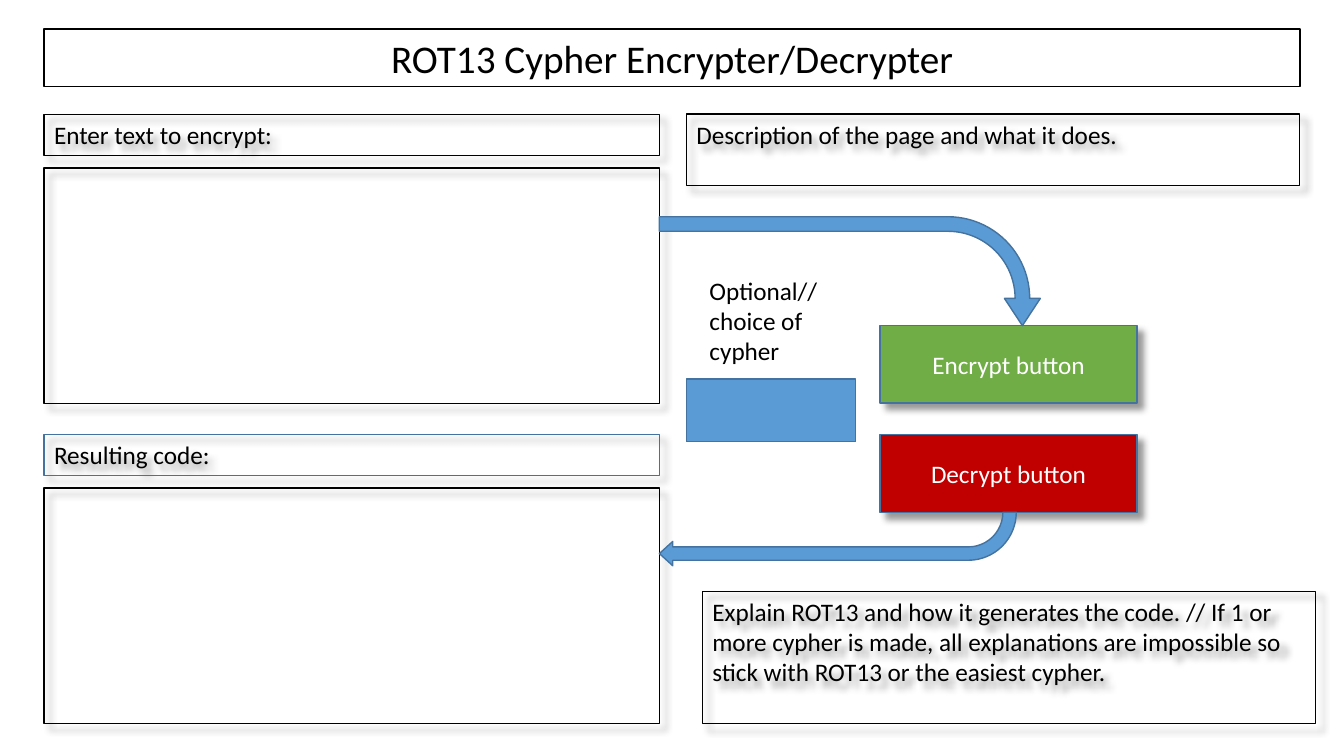
from lxml.etree import SubElement
from pptx import Presentation
from pptx.dml.color import RGBColor
from pptx.enum.shapes import MSO_SHAPE
from pptx.enum.text import MSO_ANCHOR, MSO_AUTO_SIZE, PP_ALIGN
from pptx.oxml.ns import qn
from pptx.util import Pt

BLACK, WHITE, BLUE, EDGE = "000000", "FFFFFF", "5B9BD5", "43739E"
GREEN, RED = "70AD47", "C00000"


def color(value):
    """Turn a hex string into a colour."""
    return RGBColor.from_string(value)


def write(shape, text, size=18, ink=BLACK, align=PP_ALIGN.LEFT,
          anchor=MSO_ANCHOR.TOP, grow=True):
    """Put one formatted paragraph into a shape."""
    frame = shape.text_frame
    frame.word_wrap = True
    frame.vertical_anchor = anchor
    frame.auto_size = MSO_AUTO_SIZE.SHAPE_TO_FIT_TEXT if grow else MSO_AUTO_SIZE.NONE
    para = frame.paragraphs[0]
    para.alignment = align
    span = para.add_run()
    span.text = text
    span.font.name = "Calibri"
    span.font.size = Pt(size)
    span.font.color.rgb = color(ink)


class Wireframe:
    """Draws the parts of a page mock-up on one slide."""

    def __init__(self, page):
        self.page = page

    def shape(self, kind, left, top, width, height, fill=None, line=BLACK):
        """Add a preset shape without a shadow."""
        shape = self.page.shapes.add_shape(
            kind, Pt(left), Pt(top), Pt(width), Pt(height))
        shape.shadow.inherit = False
        if fill:
            shape.fill.solid()
            shape.fill.fore_color.rgb = color(fill)
        else:
            shape.fill.background()
        shape.line.color.rgb = color(line)
        shape.line.width = Pt(1)
        return shape

    def box(self, left, top, width, height, text="", shadow=True,
            fill=None, line=BLACK, **style):
        """Add a rectangle with optional text and shadow."""
        box = self.shape(MSO_SHAPE.RECTANGLE, left, top, width, height, fill, line)
        if shadow:
            self.cast_shadow(box)
        if text:
            write(box, text, **style)

    def cast_shadow(self, shape):
        """Give a shape a soft shadow to the lower right."""
        effects = shape._element.spPr.find(qn("a:effectLst"))
        outer = SubElement(effects, qn("a:outerShdw"), blurRad=str(Pt(5)),
                           dist=str(Pt(6)), dir="2700000", algn="tl",
                           rotWithShape="0")
        tint = SubElement(outer, qn("a:srgbClr"), val=BLACK)
        SubElement(tint, qn("a:alpha"), val="40000")

    def button(self, top, text, fill):
        """Add a coloured button with centred white text."""
        self.box(628.5, top, 183.8, 55.6, text, fill=fill, line=EDGE, ink=WHITE,
                 align=PP_ALIGN.CENTER, anchor=MSO_ANCHOR.MIDDLE, grow=False)

    def arrow(self, left, top, width, height, turn, bends):
        """Add a bent arrow, rotated by a number of degrees."""
        arrow = self.shape(MSO_SHAPE.BENT_ARROW, left, top, width, height, BLUE, EDGE)
        arrow.rotation = turn
        for index, bend in enumerate(bends):
            arrow.adjustments[index] = bend

    def label(self, left, top, width, height, text):
        """Add plain text without a frame."""
        label = self.page.shapes.add_textbox(
            Pt(left), Pt(top), Pt(width), Pt(height))
        write(label, text)


deck = Presentation()
deck.slide_width, deck.slide_height = Pt(960), Pt(540)
mockup = Wireframe(deck.slides.add_slide(deck.slide_layouts[6]))

mockup.box(31.5, 20.7, 897.2, 41.2, "ROT13 Cypher Encrypter/Decrypter",
           shadow=False, size=28, align=PP_ALIGN.CENTER)
mockup.box(490.3, 81.4, 438, 51, "Description of the page and what it does.")

for top, heading, line in ((81.9, "Enter text to encrypt:", BLACK),
                           (310.5, "Resulting code:", EDGE)):
    mockup.box(31.5, top, 439.5, 29.1, heading, line=line)
    mockup.box(31.5, top + 38.2, 439.5, 168)

mockup.button(232.4, "Encrypt button", GREEN)
mockup.button(310.5, "Decrypt button", RED)
mockup.box(501.8, 422.4, 438, 94.5,
           "Explain ROT13 and how it generates the code. // If 1 or more cypher "
           "is made, all explanations are impossible so stick with ROT13 or the "
           "easiest cypher.")

mockup.arrow(568.1, 57.6, 77.8, 272.2, 90, (0.134, 0.165, 0.25, 0.75))
mockup.arrow(471, 365.9, 254.9, 38.2, 180, (0.25, 0.228, 0.25, 0.897))
mockup.box(490.3, 270.7, 121, 44.9, shadow=False, fill=BLUE, line=EDGE)
mockup.label(499.7, 193, 99.4, 72.7, "Optional// choice of cypher")

deck.save("out.pptx")
